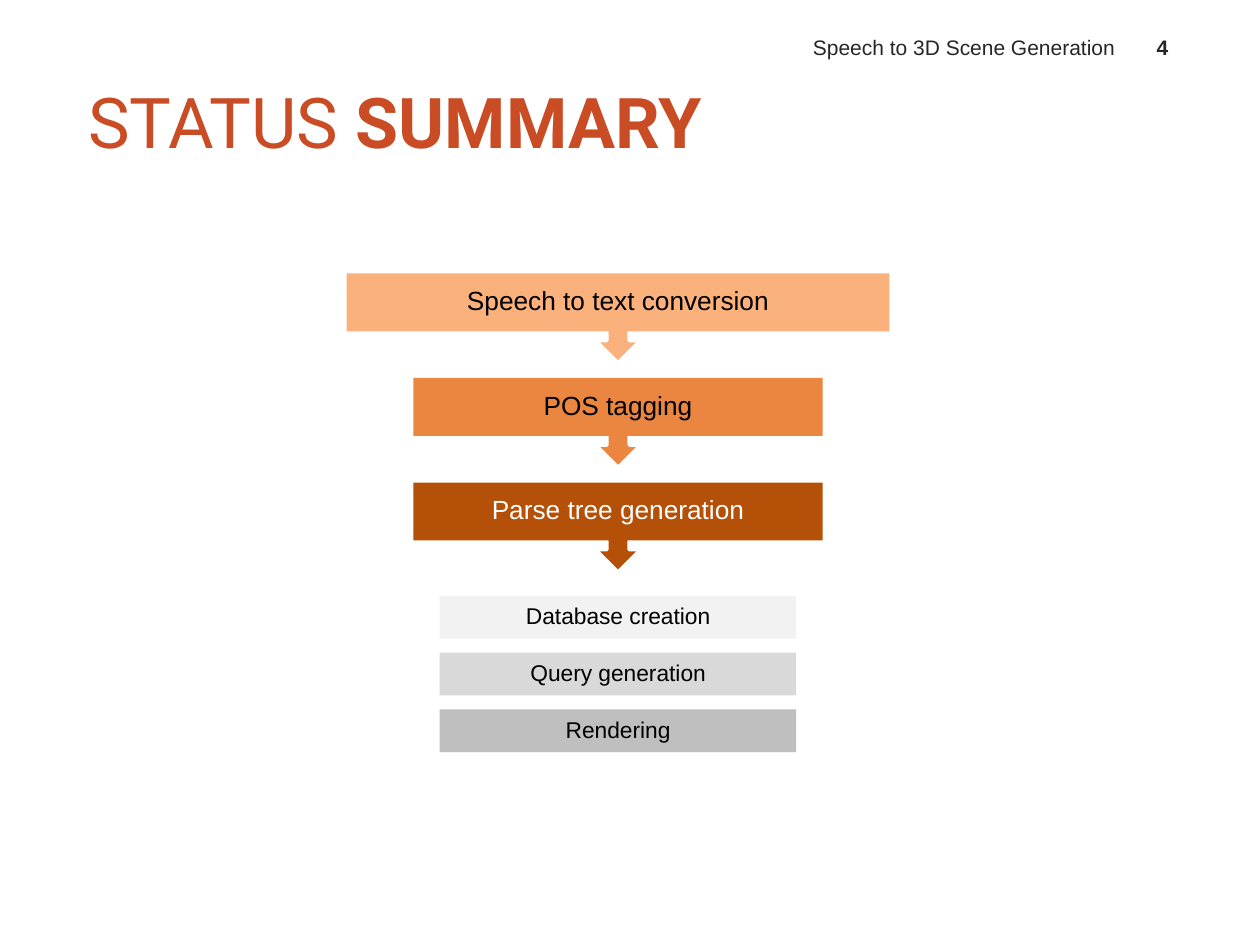
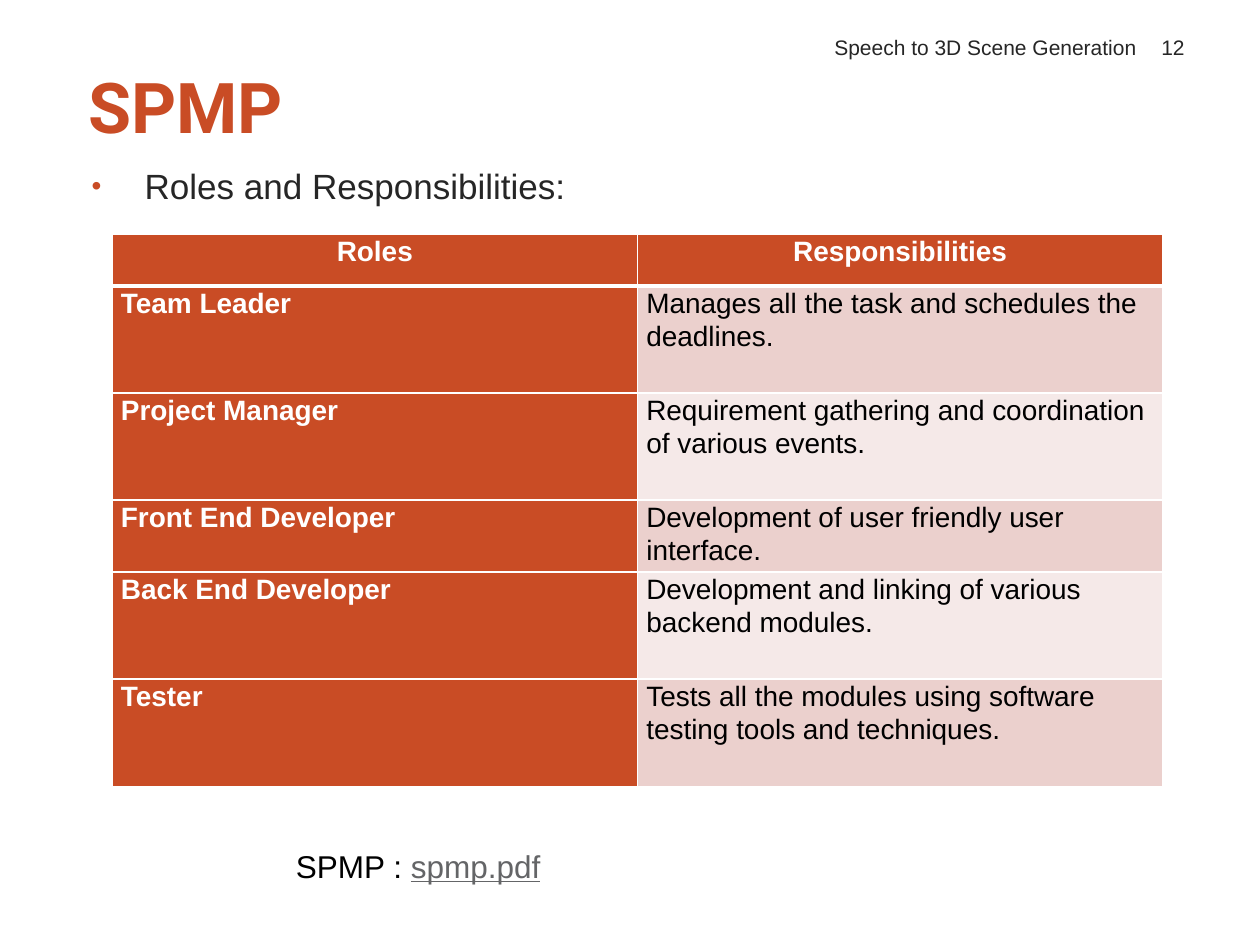
from typing import NamedTuple, Sequence

from lxml.etree import SubElement
from pptx import Presentation
from pptx.dml.color import RGBColor
from pptx.enum.shapes import MSO_SHAPE as Shape
from pptx.enum.text import MSO_ANCHOR as Anchor, PP_ALIGN as Align
from pptx.oxml.ns import qn
from pptx.util import Emu, Inches, Pt

# The slide is a grid of square cells.
COLUMNS, ROWS = 100, 75
CELL = Inches(0.1)

RUST, INK, BLACK, WHITE, LINK = "C94C25", "262626", "000000", "FFFFFF", "646567"
BAND_FILLS = ("EBD0CD", "F5E9E8")
BODY_FONT, TITLE_FONT = "Arial", "Roboto"


class Box(NamedTuple):
    """An area in grid columns and rows."""
    left: float
    top: float
    width: float
    height: float


class Run(NamedTuple):
    text: str
    size: float
    color: str = BLACK
    bold: bool = False
    underline: bool = False
    font: str = BODY_FONT


class Bar(NamedTuple):
    text: str
    fill: str
    width: float = 32.5
    color: str = BLACK


class Duty(NamedTuple):
    role: str
    responsibility: str
    height: float = 8.5


FLOW_CENTER = 49.05
STEP_TOP, STEP_PITCH, STEP_HEIGHT, CALLOUT_HEIGHT = 21.7, 8.3, 4.6, 7.1
TASK_TOP, TASK_PITCH, TASK_HEIGHT, TASK_WIDTH = 47.3, 4.5, 3.4, 28.3

STEPS = (
    Bar("Speech to text conversion", "FAB17B", 43.1),
    Bar("POS tagging", "EA8640"),
    Bar("Parse tree generation", "B45007", color=WHITE),
)
TASKS = (
    Bar("Database creation", "F2F2F2", TASK_WIDTH),
    Bar("Query generation", "D9D9D9", TASK_WIDTH),
    Bar("Rendering", "BFBFBF", TASK_WIDTH),
)

TABLE_LEFT, TABLE_TOP, TABLE_COLUMN, HEADER_ROW = 8.9, 18.6, 41.7, 4.1
HEADINGS = ("Roles", "Responsibilities")
DUTIES = (
    Duty("Team Leader", "Manages all the task and schedules the deadlines."),
    Duty("Project Manager", "Requirement gathering and coordination of various events."),
    Duty("Front End Developer", "Development of user friendly user interface.", 5.3),
    Duty("Back End Developer", "Development and linking of various backend modules."),
    Duty("Tester", "Tests all the modules using software testing tools and techniques."),
)


def rgb(color: str) -> RGBColor:
    return RGBColor.from_string(color)


def grid(cells: float) -> Emu:
    return Emu(round(cells * CELL))


def write(paragraph, runs: Sequence[Run], align=Align.LEFT, spacing: float = 1.0) -> None:
    paragraph.alignment = align
    paragraph.line_spacing = spacing
    for item in runs:
        run = paragraph.add_run()
        run.text = item.text
        font = run.font
        font.name, font.size = item.font, Pt(item.size)
        font.bold, font.underline = item.bold, item.underline
        font.color.rgb = rgb(item.color)


def set_insets(target, horizontal: float, vertical: float) -> None:
    target.margin_left = target.margin_right = grid(horizontal)
    target.margin_top = target.margin_bottom = grid(vertical)


def add_text(slide, box: Box, runs: Sequence[Run], align=Align.LEFT, anchor=Anchor.TOP):
    text_frame = slide.shapes.add_textbox(*map(grid, box)).text_frame
    text_frame.word_wrap = True
    text_frame.vertical_anchor = anchor
    write(text_frame.paragraphs[0], runs, align)
    return text_frame


def indent(paragraph, left: float, first: float = 0):
    properties = paragraph._p.get_or_add_pPr()
    properties.set("marL", str(grid(left)))
    properties.set("indent", str(grid(first)))
    return properties


def add_title(slide, box: Box, *runs: Run) -> None:
    text_frame = add_text(slide, box, runs, anchor=Anchor.MIDDLE)
    set_insets(text_frame, 0, 0.5)
    indent(text_frame.paragraphs[0], 2)


def title_run(text: str, bold: bool = False) -> Run:
    return Run(text, 40, RUST, bold, font=TITLE_FONT)


def add_header(slide, number: int, label_width: float, number_align, bold: bool = False) -> None:
    """Running head and slide number at the top right."""
    add_text(slide, Box(62.5, 1.9, label_width, 3.3),
             [Run("Speech to 3D Scene Generation", 12, INK)], Align.RIGHT, Anchor.BOTTOM)
    add_text(slide, Box(89.5, 1.9, 5.5, 3.3),
             [Run(str(number), 12, INK, bold)], number_align, Anchor.BOTTOM)


def add_filled(slide, preset, box: Box, fill: str):
    shape = slide.shapes.add_shape(preset, *map(grid, box))
    shape.shadow.inherit = False
    shape.fill.solid()
    shape.fill.fore_color.rgb = rgb(fill)
    shape.line.fill.background()
    return shape


def add_bar(slide, bar: Bar, top: float, height: float, size: float, inset: float) -> None:
    left = FLOW_CENTER - bar.width / 2
    shape = add_filled(slide, Shape.RECTANGLE, Box(left, top, bar.width, height), bar.fill)
    text_frame = shape.text_frame
    text_frame.word_wrap = True
    text_frame.vertical_anchor = Anchor.MIDDLE
    set_insets(text_frame, inset, inset)
    write(text_frame.paragraphs[0], [Run(bar.text, size, bar.color)], Align.CENTER, 0.9)


def add_step(slide, step: Bar, top: float) -> None:
    """A bar on a callout whose arrow points down to the next step."""
    left = FLOW_CENTER - step.width / 2
    callout = add_filled(slide, Shape.UP_ARROW_CALLOUT,
                         Box(left, top, step.width, CALLOUT_HEIGHT), step.fill)
    callout.rotation = 180
    callout.line.color.rgb = rgb(WHITE)
    callout.line.width = Pt(2)
    add_bar(slide, step, top, STEP_HEIGHT, 15, 1.2)


def add_bullet(slide, box: Box, run: Run) -> None:
    paragraph = add_text(slide, box, [run]).paragraphs[0]
    paragraph.space_before, paragraph.space_after = Pt(4), Pt(10)
    properties = indent(paragraph, 4.9, -4.2)
    color = SubElement(properties, qn("a:buClr"))
    SubElement(color, qn("a:srgbClr"), val=RUST)
    SubElement(properties, qn("a:buSzPct"), val="80000")
    SubElement(properties, qn("a:buFont"), typeface=BODY_FONT)
    SubElement(properties, qn("a:buChar"), char="•")


def add_borders(cell, top: float, bottom: float) -> None:
    properties = cell._tc.get_or_add_tcPr()
    for side, width in (("L", 1), ("R", 1), ("T", top), ("B", bottom)):
        line = SubElement(properties, qn(f"a:ln{side}"), w=str(Pt(width)))
        fill = SubElement(line, qn("a:solidFill"))
        SubElement(fill, qn("a:srgbClr"), val=WHITE)


def fill_cell(cell, row: int, column: int, text: str) -> None:
    is_heading = row == 0
    is_strong = is_heading or column == 0
    add_borders(cell, 3 if row == 1 else 1, 3 if is_heading else 1)
    cell.fill.solid()
    cell.fill.fore_color.rgb = rgb(RUST if is_strong else BAND_FILLS[(row - 1) % 2])
    set_insets(cell, 0.7, 0)
    write(cell.text_frame.paragraphs[0],
          [Run(text, 16, WHITE if is_strong else BLACK, is_strong)],
          Align.CENTER if is_heading else Align.LEFT, 1.07)


def add_duties_table(slide) -> None:
    rows = (Duty(*HEADINGS, HEADER_ROW), *DUTIES)
    box = Box(TABLE_LEFT, TABLE_TOP, TABLE_COLUMN * 2, sum(row.height for row in rows))
    table = slide.shapes.add_table(len(rows), 2, *map(grid, box)).table
    for index, row in enumerate(rows):
        table.rows[index].height = grid(row.height)
        for column, text in enumerate((row.role, row.responsibility)):
            fill_cell(table.cell(index, column), index, column, text)


def build_status(slide) -> None:
    add_title(slide, Box(5, 5.2, 52, 8.7), title_run("STATUS"), title_run(" SUMMARY", True))
    add_header(slide, 4, 27, Align.CENTER, bold=True)
    for index, task in enumerate(TASKS):
        add_bar(slide, task, TASK_TOP + index * TASK_PITCH, TASK_HEIGHT, 13, 1)
    for index, step in enumerate(STEPS):
        add_step(slide, step, STEP_TOP + index * STEP_PITCH)


def build_roles(slide) -> None:
    add_title(slide, Box(5, 4, 53.3, 8.7), title_run("SPMP", True))
    add_bullet(slide, Box(5.6, 12.6, 90, 50), Run("Roles and Responsibilities:", 20, INK))
    add_header(slide, 12, 28.7, Align.RIGHT)
    add_duties_table(slide)
    add_text(slide, Box(22.5, 66.7, 37.5, 4),
             [Run("SPMP : ", 18), Run("spmp.pdf", 18, LINK, underline=True)])


def main() -> None:
    presentation = Presentation()
    presentation.slide_width, presentation.slide_height = grid(COLUMNS), grid(ROWS)
    blank = presentation.slide_layouts[6]
    for build in (build_status, build_roles):
        build(presentation.slides.add_slide(blank))
    presentation.save("out.pptx")


if __name__ == "__main__":
    main()
